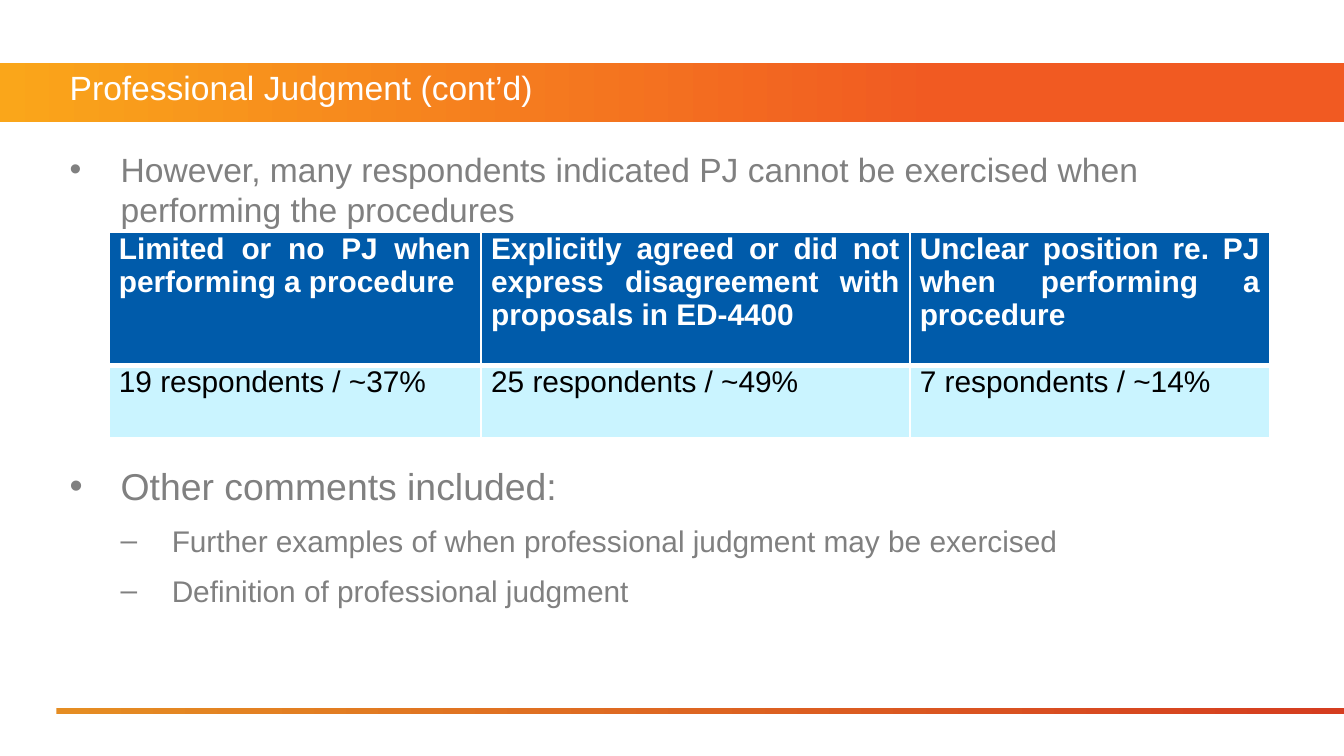
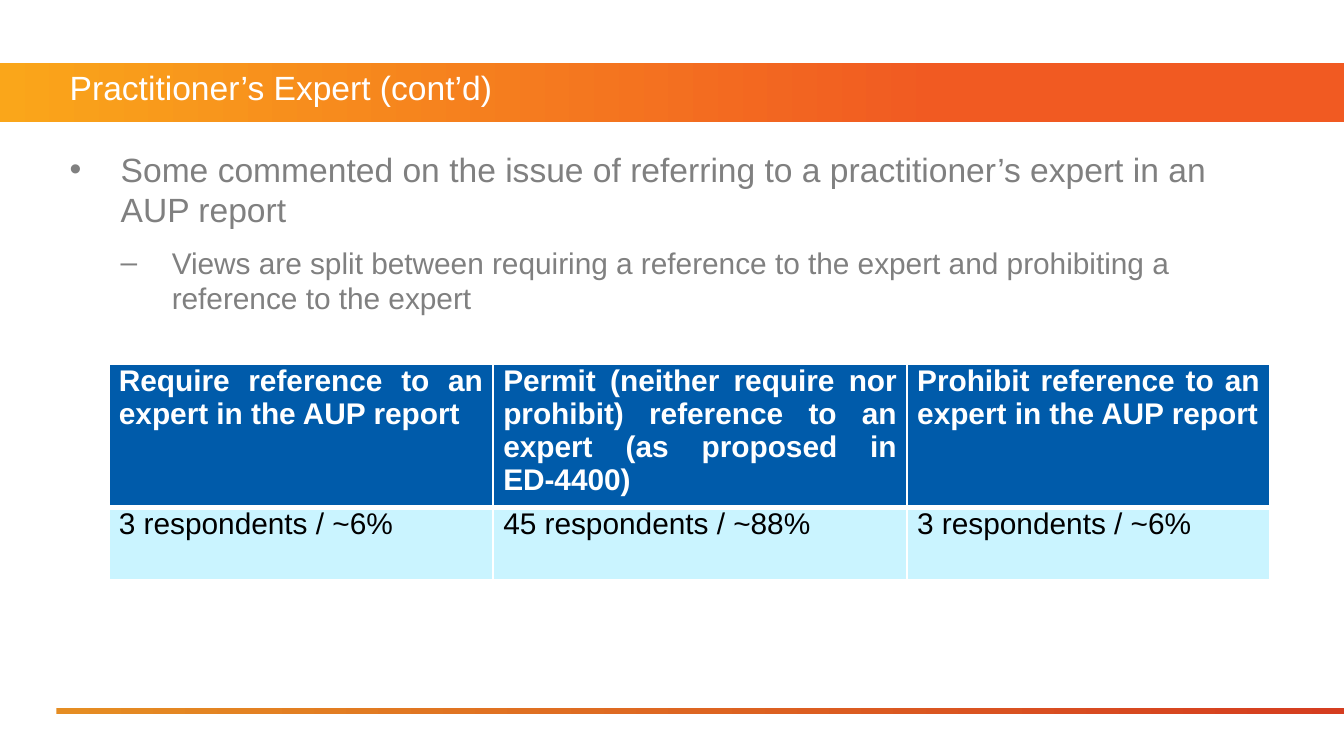
from pptx import Presentation
from pptx.dml.color import RGBColor
from pptx.enum.shapes import MSO_SHAPE
from pptx.enum.text import PP_ALIGN
from pptx.oxml.ns import qn
from pptx.util import Inches, Pt
from lxml.etree import SubElement

WHITE = RGBColor(0xFF, 0xFF, 0xFF)
BLACK = RGBColor(0x00, 0x00, 0x00)
GREY = RGBColor(0x80, 0x80, 0x80)
HEADER_BLUE = RGBColor(0x00, 0x5B, 0xAA)
PALE_BLUE = RGBColor(0xCA, 0xF4, 0xFF)
BAND_YELLOW = RGBColor(0xFA, 0xA6, 0x1A)
BAND_ORANGE = RGBColor(0xF1, 0x5A, 0x22)
RULE_AMBER = RGBColor(0xE5, 0x8D, 0x23)
RULE_RED = RGBColor(0xD5, 0x3D, 0x20)

FONT = "Arial"
WIDTH = Inches(10)
HEIGHT = WIDTH * 9 // 16
MARGIN = Inches(0.42)
INDENT = Inches(0.38)
TABLE_LEFT = Inches(0.81)
ROW_HEIGHTS = [Inches(0.99), Inches(0.54)]
BULLETS = "•–"
GAP = 7.8

# left, top, width, height, start colour, end colour, end position
BANDS = [
    (0, Inches(0.47), WIDTH, Inches(0.44), BAND_YELLOW, BAND_ORANGE, 0.7),
    (MARGIN, Inches(5.27), WIDTH - MARGIN, Inches(0.04), RULE_AMBER, RULE_RED, 1),
]

# Each point: level, size, space before, text
SLIDES = [
    {
        "title": "Professional Judgment (cont’d)",
        "points": [
            (0, 18, 0, "However, many respondents indicated PJ cannot be exercised "
                       "when performing the procedures"),
            (0, 20, 125, "Other comments included:"),
            (1, 16, GAP, "Further examples of when professional judgment may be exercised"),
            (1, 16, GAP, "Definition of professional judgment"),
        ],
        "table_top": 1.73,
        "columns": [2.77, 3.19, 2.68],
        "rows": [
            ["Limited or no PJ when performing a procedure",
             "Explicitly agreed or did not express disagreement with proposals in ED-4400",
             "Unclear position re. PJ when performing a procedure"],
            ["19 respondents / ~37%", "25 respondents / ~49%", "7 respondents / ~14%"],
        ],
    },
    {
        "title": "Practitioner’s Expert (cont’d)",
        "points": [
            (0, 18, 0, "Some commented on the issue of referring to a practitioner’s "
                       "expert in an AUP report"),
            (1, 16, GAP, "Views are split between requiring a reference to the expert "
                         "and prohibiting a reference to the expert"),
        ],
        "table_top": 2.71,
        "columns": [2.86, 3.08, 2.7],
        "rows": [
            ["Require reference to an expert in the AUP report",
             "Permit (neither require nor prohibit) reference to an expert "
             "(as proposed in ED-4400)",
             "Prohibit reference to an expert in the AUP report"],
            ["3 respondents / ~6%", "45 respondents / ~88%", "3 respondents / ~6%"],
        ],
    },
]


def add_run(paragraph, text, size, color, bold=False):
    run = paragraph.add_run()
    run.text = text
    run.font.name = FONT
    run.font.size = Pt(size)
    run.font.color.rgb = color
    run.font.bold = bold


def add_borders(cell, widths):
    """Draw white cell borders; widths are points for left, right, top, bottom."""
    properties = cell._tc.get_or_add_tcPr()
    for side, width in zip("LRTB", widths):
        line = SubElement(properties, qn(f"a:ln{side}"), w=str(Pt(width)))
        fill = SubElement(line, qn("a:solidFill"))
        SubElement(fill, qn("a:srgbClr"), val=str(WHITE))


presentation = Presentation()
presentation.slide_width, presentation.slide_height = WIDTH, HEIGHT

for content in SLIDES:
    slide = presentation.slides.add_slide(presentation.slide_layouts[6])

    for left, top, width, height, start, end, end_position in BANDS:
        band = slide.shapes.add_shape(MSO_SHAPE.RECTANGLE, left, top, width, height)
        band.shadow.inherit = False
        band.line.fill.background()
        band.fill.gradient()
        band.fill.gradient_angle = 0
        first_stop, last_stop = band.fill.gradient_stops
        first_stop.color.rgb, first_stop.position = start, 0
        last_stop.color.rgb, last_stop.position = end, end_position

    title = slide.shapes.add_textbox(MARGIN, Inches(0.45), Inches(8.25), Inches(0.44))
    title.text_frame.word_wrap = True
    add_run(title.text_frame.paragraphs[0], content["title"], 18, WHITE)

    body = slide.shapes.add_textbox(MARGIN, Inches(1.06), Inches(9.04), Inches(3.97))
    body.text_frame.word_wrap = True
    for index, (level, size, space_before, text) in enumerate(content["points"]):
        paragraph = body.text_frame.add_paragraph() if index else body.text_frame.paragraphs[0]
        paragraph.level = level
        paragraph.space_before = Pt(space_before)
        properties = paragraph._p.get_or_add_pPr()
        properties.set("marL", str(INDENT * (level + 1)))
        properties.set("indent", str(-INDENT))
        SubElement(properties, qn("a:buFont"), typeface=FONT)
        SubElement(properties, qn("a:buChar"), char=BULLETS[level])
        add_run(paragraph, text, size, GREY)

    widths = [Inches(width) for width in content["columns"]]
    table = slide.shapes.add_table(
        len(ROW_HEIGHTS), len(widths), TABLE_LEFT, Inches(content["table_top"]),
        sum(widths), sum(ROW_HEIGHTS)).table
    table.horz_banding = False
    for column, width in zip(table.columns, widths):
        column.width = width
    for row_index, texts in enumerate(content["rows"]):
        is_header = row_index == 0
        table.rows[row_index].height = ROW_HEIGHTS[row_index]
        for column_index, text in enumerate(texts):
            cell = table.cell(row_index, column_index)
            cell.margin_left = cell.margin_right = Pt(5.4)
            cell.margin_top = cell.margin_bottom = 0
            add_borders(cell, (1, 1, 1, 3) if is_header else (1, 1, 3, 1))
            cell.fill.solid()
            cell.fill.fore_color.rgb = HEADER_BLUE if is_header else PALE_BLUE
            paragraph = cell.text_frame.paragraphs[0]
            paragraph.alignment = PP_ALIGN.JUSTIFY
            add_run(paragraph, text, 16, WHITE if is_header else BLACK, is_header)

presentation.save("out.pptx")
